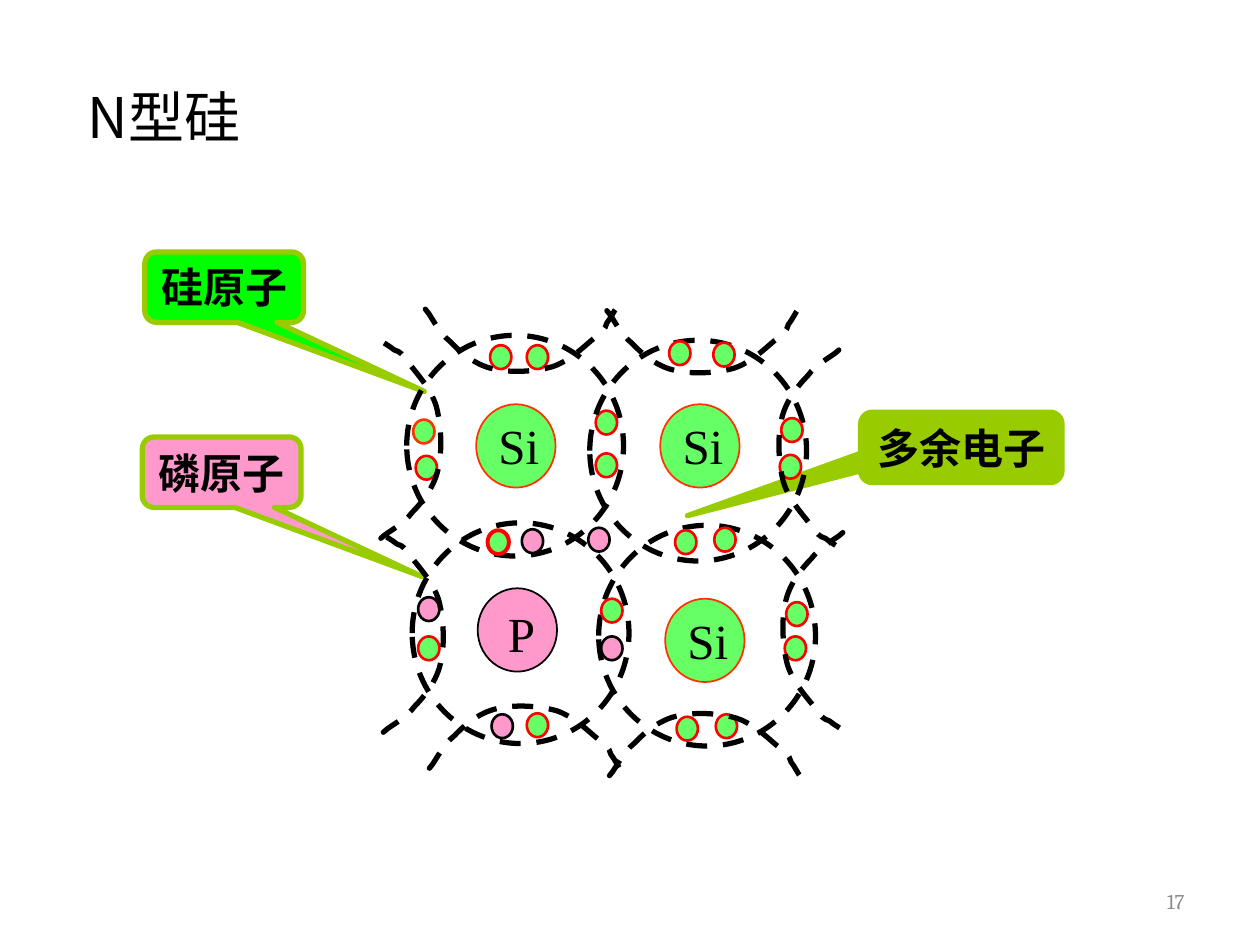
import dataclasses

import pptx
import pptx.dml.color
import pptx.enum.dml
import pptx.enum.shapes
import pptx.enum.text
import pptx.oxml.ns
import pptx.oxml.xmlchemy
import pptx.util

Cm = pptx.util.Cm
Pt = pptx.util.Pt
SHAPE = pptx.enum.shapes.MSO_SHAPE
ALIGN = pptx.enum.text.PP_ALIGN
MIDDLE = pptx.enum.text.MSO_ANCHOR.MIDDLE
TOP = pptx.enum.text.MSO_ANCHOR.TOP


@dataclasses.dataclass(frozen=True)
class Theme:
    ink: str = "000000"
    grey: str = "8C8C8C"
    silicon: str = "66FF66"
    phosphorus: str = "FF99CC"
    electron_edge: str = "FF0000"
    nucleus_edge: str = "FF3300"
    callout: str = "99CC00"
    silicon_callout: str = "00FF00"
    title_size: int = 32
    symbol_size: int = 28
    callout_size: int = 24
    number_size: int = 12
    cjk_font: str = "Noto Sans CJK SC"
    symbol_font: str = "Times New Roman"
    number_font: str = "Cambria"


THEME = Theme()

# Left, top, width, height, tail position, fill and text, in cm
CALLOUTS = [
    (17.35, 8.31, 4.06, 1.42, (-1.36, 0.97), THEME.callout, "多余电子"),
    (2.87, 8.81, 3.2, 1.42, (1.26, 1.48), THEME.phosphorus, "磷原子"),
    (2.92, 5.08, 3.2, 1.42, (1.26, 1.48), THEME.silicon_callout, "硅原子"),
]
RINGS = [(8.2, 6.76), (11.89, 6.86), (8.31, 10.54), (12.07, 10.59)]
SILICON_NUCLEI = [(9.6, 8.15), (13.31, 8.15), (13.41, 12.07)]
PHOSPHORUS_NUCLEUS = (9.63, 11.86)
COVERED_ELECTRON = (12.01, 8.28)
SILICON_ELECTRONS = [
    (12.01, 9.14), (14.4, 10.64), (13.61, 10.69), (12.12, 12.07),
    (8.43, 12.83), (9.88, 6.96), (10.62, 6.96), (8.38, 9.19),
    (14.43, 14.4), (13.64, 14.45), (15.72, 9.17), (15.75, 8.43),
    (10.62, 14.38), (14.38, 6.91), (13.49, 6.88), (15.82, 12.83),
    (15.85, 12.14),
]
BOLD_ELECTRON = (9.83, 10.69)
ORANGE_ELECTRON = (8.33, 8.46)
PHOSPHORUS_ELECTRONS = [(12.12, 12.83), (8.43, 12.04), (9.91, 14.4)]
FRONT_ELECTRONS = [(10.52, 10.67), (11.86, 10.64)]

SIDE_BOW = (1.35, 4.09)
END_BOW = (1.4, 3.94)
# Positions, size, rotation, mirrored across, mirrored down
BOWS = [
    ([(15.67, 7.01), (15.75, 10.69)], SIDE_BOW, 0, False, False),
    ([(9.8, 4.85), (13.46, 4.88)], END_BOW, 270, False, False),
    ([(9.88, 12.93), (13.51, 13.08)], END_BOW, 90, False, True),
    ([(7.57, 6.81), (7.62, 10.72)], SIDE_BOW, 0, True, True),
]
# Start point, then three points for each curve, as fractions of the frame
BOW_POINTS = [
    (0.89, 0.02),
    (0.89, 0.02), (0.96, 0), (0.89, 0.02),
    (0.83, 0.04), (0.58, 0.08), (0.45, 0.14),
    (0.3, 0.19), (0.11, 0.27), (0.06, 0.36),
    (0, 0.45), (0.02, 0.57), (0.09, 0.66),
    (0.17, 0.75), (0.4, 0.83), (0.49, 0.87),
    (0.6, 0.92), (0.62, 0.93), (0.72, 0.94),
    (0.79, 0.96), (0.91, 0.98), (0.94, 0.99),
    (1, 1), (0.98, 1), (0.98, 1),
    (0.98, 1), (0.96, 0.99), (0.94, 0.99),
]


def rgb(code):
    return pptx.dml.color.RGBColor.from_string(code)


def style(shape, fill, edge, width, dashed=False):
    shape.shadow.inherit = False
    if fill:
        shape.fill.solid()
        shape.fill.fore_color.rgb = rgb(fill)
    else:
        shape.fill.background()
    shape.line.color.rgb = rgb(edge)
    shape.line.width = Pt(width)
    if dashed:
        shape.line.dash_style = pptx.enum.dml.MSO_LINE.DASH


def write(shape, text, size, font, color=THEME.ink, bold=False,
          align=ALIGN.LEFT, anchor=TOP, wrap=True):
    frame = shape.text_frame
    frame.word_wrap = wrap
    frame.vertical_anchor = anchor
    para = frame.paragraphs[0]
    para.text = text
    para.alignment = align
    para.font.size = Pt(size)
    para.font.name = font
    para.font.bold = bold
    para.font.color.rgb = rgb(color)
    defaults = para._p.pPr.find(pptx.oxml.ns.qn("a:defRPr"))
    east_asian = pptx.oxml.xmlchemy.OxmlElement("a:ea")
    east_asian.set("typeface", THEME.cjk_font)
    defaults.append(east_asian)


def add_text(shapes, left, top, width, height, *args, **options):
    box = shapes.add_textbox(Cm(left), Cm(top), Cm(width), Cm(height))
    write(box, *args, **options)


def add_callout(shapes, left, top, width, height, tail, fill, text):
    shape = shapes.add_shape(SHAPE.ROUNDED_RECTANGULAR_CALLOUT,
                             Cm(left), Cm(top), Cm(width), Cm(height))
    shape.adjustments[0], shape.adjustments[1] = tail
    style(shape, fill, THEME.callout, 3)
    write(shape, text, THEME.callout_size, THEME.symbol_font, bold=True,
          align=ALIGN.CENTER, anchor=MIDDLE, wrap=False)


def add_oval(shapes, place, size, *look, **options):
    left, top = place
    width, height = size
    oval = shapes.add_shape(SHAPE.OVAL, Cm(left), Cm(top), Cm(width), Cm(height))
    style(oval, *look, **options)


def add_electron(shapes, place, fill=THEME.silicon, edge=THEME.electron_edge, width=1.5):
    add_oval(shapes, place, (0.43, 0.48), fill, edge, width)


def add_nucleus(shapes, place, fill, edge, symbol, offset, label_width):
    add_oval(shapes, place, (1.6, 1.68), fill, edge, 1)
    add_text(shapes, place[0] + offset[0], place[1] + offset[1], label_width, 1.42,
             symbol, THEME.symbol_size, THEME.symbol_font)


def add_bow(shapes, place, size, rotation, across, down):
    """Draw a dashed open curve, turning each three line points into one Bezier."""
    points = [(Cm(place[0] + size[0] * (1 - x if across else x)),
               Cm(place[1] + size[1] * (1 - y if down else y)))
              for x, y in BOW_POINTS]
    builder = shapes.build_freeform(*points[0])
    builder.add_line_segments(points[1:], close=False)
    bow = builder.convert_to_shape()
    lines = list(bow._element.iter(pptx.oxml.ns.qn("a:lnTo")))
    for first in range(0, len(lines), 3):
        curve = pptx.oxml.xmlchemy.OxmlElement("a:cubicBezTo")
        lines[first].addprevious(curve)
        for line in lines[first:first + 3]:
            curve.append(line[0])
            line.getparent().remove(line)
    bow.rotation = rotation
    style(bow, None, THEME.ink, 3, dashed=True)


def add_lattice(shapes):
    add_electron(shapes, COVERED_ELECTRON)
    for place in RINGS:
        add_oval(shapes, place, (4.37, 4.45), None, THEME.ink, 3, dashed=True)
    for place in SILICON_NUCLEI:
        add_nucleus(shapes, place, THEME.silicon, THEME.nucleus_edge,
                    "Si", (0.2, 0.11), 1.85)
    add_nucleus(shapes, PHOSPHORUS_NUCLEUS, THEME.phosphorus, THEME.ink,
                "P", (0.36, 0.18), 1.45)
    for place in SILICON_ELECTRONS:
        add_electron(shapes, place)
    add_electron(shapes, BOLD_ELECTRON, width=2.25)
    add_electron(shapes, ORANGE_ELECTRON, edge=THEME.nucleus_edge)
    for place in PHOSPHORUS_ELECTRONS:
        add_electron(shapes, place, THEME.phosphorus, THEME.ink)
    for places, *form in BOWS:
        for place in places:
            add_bow(shapes, place, *form)
    for place in FRONT_ELECTRONS:
        add_electron(shapes, place, THEME.phosphorus, THEME.ink)


def main():
    deck = pptx.Presentation()
    deck.slide_width, deck.slide_height = Cm(25.4), Cm(19.05)
    page = deck.slides.add_slide(deck.slide_layouts[6])
    add_text(page.shapes, 1.27, 0.76, 22.86, 3.18, " N型硅",
             THEME.title_size, THEME.cjk_font, anchor=MIDDLE)
    diagram = page.shapes.add_group_shape().shapes
    for callout in CALLOUTS:
        add_callout(diagram, *callout)
    add_lattice(diagram)
    add_text(page.shapes, 18.21, 17.65, 5.92, 1.02, "17", THEME.number_size,
             THEME.number_font, THEME.grey, align=ALIGN.RIGHT, anchor=MIDDLE)
    deck.save("out.pptx")


if __name__ == "__main__":
    main()
